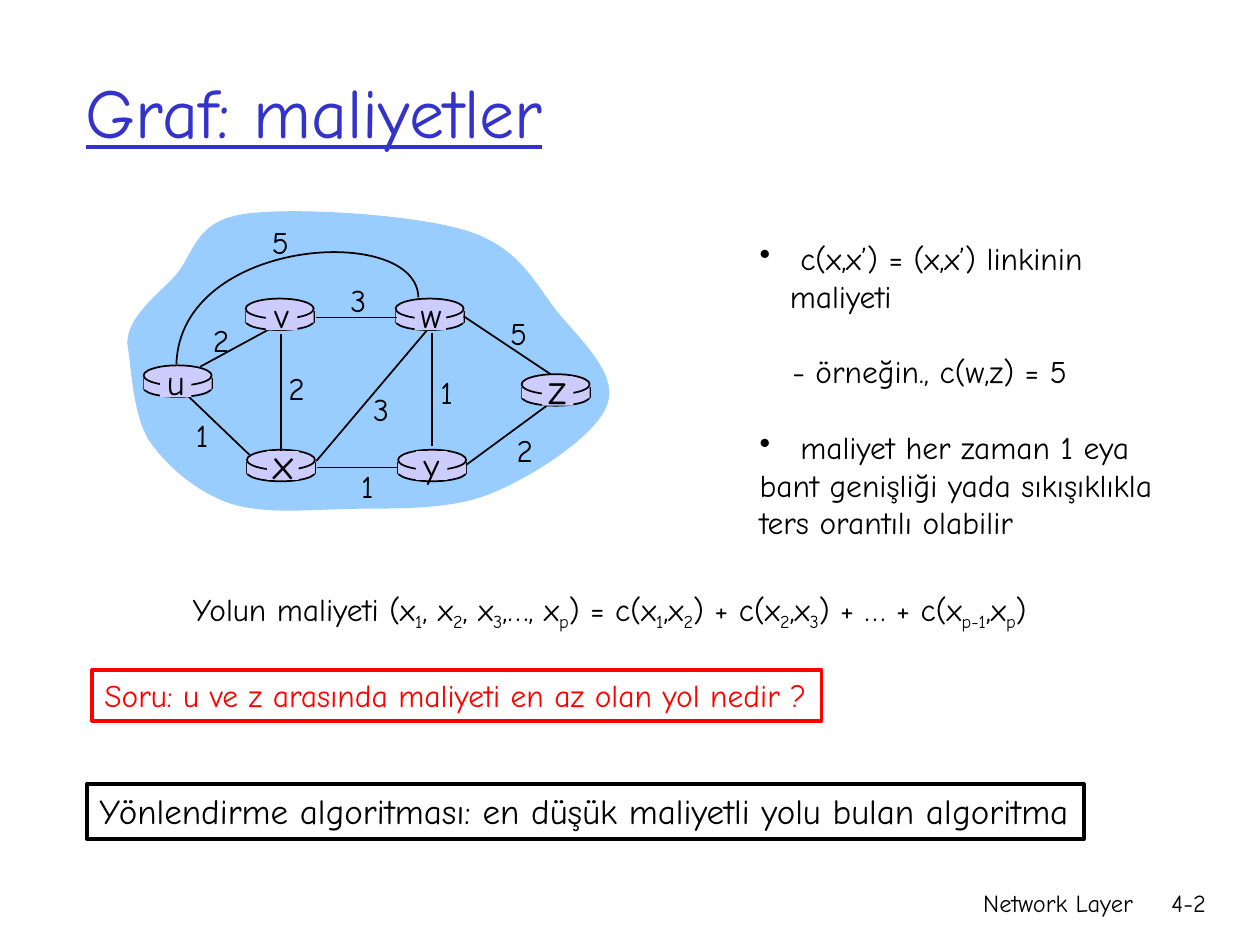
from lxml.etree import SubElement
from pptx import Presentation
from pptx.dml.color import RGBColor
from pptx.enum.shapes import MSO_CONNECTOR, MSO_SHAPE
from pptx.enum.text import MSO_ANCHOR, PP_ALIGN
from pptx.oxml.ns import qn
from pptx.util import Inches, Pt

FONT = "Comic Neue"
BLACK, RED, BLUE = "000000", "FF0000", "3333CC"
CLOUD, ROUTER = "99CCFF", "CCCCFF"
ROUTER_WIDTH = 0.54

# Router name: left and top of its body, left and top of its name plate, text size
ROUTERS = {
    "u": (1.14, 3.01, 1.27, 2.92, 20),
    "x": (1.96, 3.68, 2.12, 3.58, 24),
    "v": (1.95, 2.48, 2.11, 2.39, 20),
    "w": (3.14, 2.48, 3.29, 2.39, 20),
    "y": (3.16, 3.68, 3.30, 3.58, 20),
    "z": (4.14, 3.08, 4.30, 2.99, 24),
}
# Link: start, end, cost, left and top of the cost
UV_LINK = (1.59, 2.91, 2.18, 2.59, "2", 1.59, 2.50)
LINKS = [
    (3.43, 2.64, 3.43, 3.54, "1", 3.38, 2.91),
    (2.23, 2.65, 2.23, 3.58, "2", 2.19, 2.88),
    (2.51, 3.66, 3.39, 2.62, "3", 2.86, 3.05),
    (3.70, 3.69, 4.34, 3.22, "2", 4.00, 3.37),
    (3.16, 3.71, 2.52, 3.71, "1", 2.75, 3.66),
    (1.98, 3.61, 1.50, 3.15, "1", 1.44, 3.25),
    (3.15, 2.52, 2.51, 2.52, "3", 2.68, 2.18),
    (4.37, 2.97, 3.68, 2.51, "5", 3.95, 2.44),
]
# Bezier outlines: a start point, then three points for each curve
CLOUD_POINTS = [
    (1.01, 2.72),
    (1.02, 2.51), (1.23, 2.36), (1.39, 2.19),
    (1.54, 2.02), (1.54, 1.76), (1.93, 1.70),
    (2.31, 1.64), (3.28, 1.70), (3.70, 1.83),
    (4.12, 1.96), (4.24, 2.24), (4.42, 2.47),
    (4.61, 2.70), (4.91, 2.97), (4.82, 3.21),
    (4.74, 3.45), (4.24, 3.78), (3.89, 3.92),
    (3.54, 4.06), (3.08, 4.03), (2.73, 4.04),
    (2.39, 4.05), (2.07, 4.08), (1.81, 3.99),
    (1.56, 3.90), (1.32, 3.70), (1.18, 3.49),
    (1.05, 3.28), (1.04, 2.88), (1.01, 2.72),
]
UW_POINTS = [(3.32, 2.36), (3.31, 1.77), (1.43, 1.88), (1.40, 2.89)]
# Text, left margin, first-line indent, space before in points
NOTES = [
    (" c(x,x’) = (x,x’) linkinin maliyeti", 0.24, -0.24, 0),
    ("- örneğin., c(w,z) = 5", 0.26, 0, 21.5),
    (" maliyet her zaman 1 eya", 0.24, -0.24, 21.5),
    ("bant genişliği yada sıkışıklıkla", 0, 0, 0),
    ("ters orantılı olabilir", 0, 0, 0),
]
# Underscores mark where subscripts start and end
PATH_COST = ("Yolun maliyeti (x_1_, x_2_, x_3_,…, x_p_) = c(x_1_,x_2_)"
             " + c(x_2_,x_3_) + … + c(x_p-1_,x_p_)")


def color(value):
    return RGBColor.from_string(value)


def style_font(paragraph, size, value=BLACK):
    font = paragraph.font
    font.name, font.size = FONT, Pt(size)
    font.color.rgb = color(value)


def style_shape(shape, fill=None, line=None, weight=1):
    shape.shadow.inherit = False
    if fill:
        shape.fill.solid()
        shape.fill.fore_color.rgb = color(fill)
    else:
        shape.fill.background()
    if line:
        shape.line.color.rgb = color(line)
        shape.line.width = Pt(weight)
    else:
        shape.line.fill.background()


def add_shape(slide, kind, left, top, width, height, **style):
    shape = slide.shapes.add_shape(
        kind, Inches(left), Inches(top), Inches(width), Inches(height))
    style_shape(shape, **style)
    return shape


def add_text(slide, text, left, top, width, height, size,
             align=PP_ALIGN.LEFT, wrap=True):
    box = slide.shapes.add_textbox(
        Inches(left), Inches(top), Inches(width), Inches(height))
    box.text_frame.word_wrap = wrap
    paragraph = box.text_frame.paragraphs[0]
    paragraph.text, paragraph.alignment = text, align
    style_font(paragraph, size)
    return box


def add_line(slide, x1, y1, x2, y2):
    line = slide.shapes.add_connector(
        MSO_CONNECTOR.STRAIGHT, Inches(x1), Inches(y1), Inches(x2), Inches(y2))
    line.line.color.rgb = color(BLACK)
    line.line.width = Pt(1)
    SubElement(line._element.spPr, qn("a:effectLst"))


def add_curve(slide, points, close=False, **style):
    corners = [(Inches(x), Inches(y)) for x, y in points]
    builder = slide.shapes.build_freeform(*corners[0])
    builder.add_line_segments(corners[1:], close=close)
    shape = builder.convert_to_shape()
    # Join each three line segments into one Bezier curve
    segments = list(shape._element.iter(qn("a:lnTo")))
    for index in range(0, len(points) - 1, 3):
        group = segments[index:index + 3]
        curve = group[0].makeelement(qn("a:cubicBezTo"))
        group[0].addprevious(curve)
        for segment in group:
            curve.append(segment[0])
            segment.getparent().remove(segment)
    style_shape(shape, **style)


def add_router(slide, left, top):
    oval, side_top = MSO_SHAPE.OVAL, top - 0.01
    add_shape(slide, oval, left, top, ROUTER_WIDTH, 0.14, fill=ROUTER, line=BLACK)
    for x in (left, left + ROUTER_WIDTH):
        add_line(slide, x, side_top, x, side_top + 0.09)
    add_shape(slide, MSO_SHAPE.RECTANGLE, left, side_top, ROUTER_WIDTH, 0.09, fill=ROUTER)
    add_shape(slide, oval, left, top - 0.11, ROUTER_WIDTH, 0.16, fill=ROUTER, line=BLACK)


def add_router_name(slide, name, left, top, size):
    add_shape(slide, MSO_SHAPE.RECTANGLE, left, top, 0.25, 0.23, fill=ROUTER)
    rise, height = (0.16, 0.5) if size == 24 else (0.11, 0.44)
    add_text(slide, name, left - 0.05, top - rise, 0.35, height, size,
             PP_ALIGN.CENTER, wrap=False)


def add_cost(slide, cost, left, top):
    add_text(slide, cost, left, top, 0.33, 0.4, 18, PP_ALIGN.CENTER, wrap=False)


def add_graph(slide):
    add_curve(slide, CLOUD_POINTS, close=True, fill=CLOUD)
    add_line(slide, *UV_LINK[:4])
    for left, top, *_ in ROUTERS.values():
        add_router(slide, left, top)
    for link in LINKS:
        add_line(slide, *link[:4])
    add_curve(slide, UW_POINTS, line=BLACK)
    for name, (_, _, left, top, size) in ROUTERS.items():
        add_router_name(slide, name, left, top, size)
    for link in [UV_LINK, *LINKS]:
        add_cost(slide, *link[4:])
    add_cost(slide, "5", 2.06, 1.72)


def add_notes(slide):
    frame = add_text(slide, NOTES[0][0], 5.93, 1.85, 3.5, 2.5, 18).text_frame
    for index, (text, margin, indent, space) in enumerate(NOTES):
        paragraph = frame.add_paragraph() if index else frame.paragraphs[0]
        paragraph.text = text
        paragraph.space_before = Pt(space)
        style_font(paragraph, 18)
        properties = paragraph._p.get_or_add_pPr()
        properties.set("marL", str(Inches(margin)))
        properties.set("indent", str(Inches(indent)))
        if indent:
            bullet = properties.makeelement(qn("a:buChar"), {"char": "•"})
            properties.find(qn("a:defRPr")).addprevious(bullet)


def add_path_cost(slide):
    box = add_text(slide, "", 1.43, 4.63, 7, 0.44, 18)
    paragraph = box.text_frame.paragraphs[0]
    for index, part in enumerate(PATH_COST.split("_")):
        run = paragraph.add_run()
        run.text = part
        if index % 2:
            run.font._element.set("baseline", "-25000")


def add_framed_text(slide, text, left, top, width, height, size, value):
    shape = add_shape(slide, MSO_SHAPE.RECTANGLE, left, top, width, height,
                      line=value, weight=2.25)
    frame = shape.text_frame
    frame.word_wrap, frame.vertical_anchor = False, MSO_ANCHOR.TOP
    paragraph = frame.paragraphs[0]
    paragraph.text, paragraph.alignment = text, PP_ALIGN.LEFT
    style_font(paragraph, size, value)


def add_title(slide, text):
    title = slide.shapes.title
    title.left, title.top = Inches(0.58), Inches(0.25)
    title.width, title.height = Inches(8.5), Inches(1.25)
    title.text_frame.vertical_anchor = MSO_ANCHOR.MIDDLE
    paragraph = title.text_frame.paragraphs[0]
    paragraph.text, paragraph.alignment = text, PP_ALIGN.LEFT
    style_font(paragraph, 40, BLUE)
    paragraph.font.underline = True


def main():
    presentation = Presentation()
    presentation.slide_width, presentation.slide_height = Inches(10), Inches(7.5)
    slide = presentation.slides.add_slide(presentation.slide_layouts[5])
    # Footer and page number
    add_text(slide, "Network Layer", 5.92, 7, 3.17, 0.5, 14, PP_ALIGN.RIGHT)
    add_text(slide, "4-2", 8.93, 7, 0.74, 0.5, 14, PP_ALIGN.RIGHT)
    add_title(slide, "Graf: maliyetler")
    add_graph(slide)
    add_notes(slide)
    add_path_cost(slide)
    add_framed_text(slide, "Soru: u ve z arasında maliyeti en az olan yol nedir ?",
                    0.73, 5.32, 5.79, 0.4, 18, RED)
    add_framed_text(slide, "Yönlendirme algoritması: en düşük maliyetli yolu bulan algoritma",
                    0.69, 6.22, 7.91, 0.44, 20, BLACK)
    presentation.save("out.pptx")


if __name__ == "__main__":
    main()
